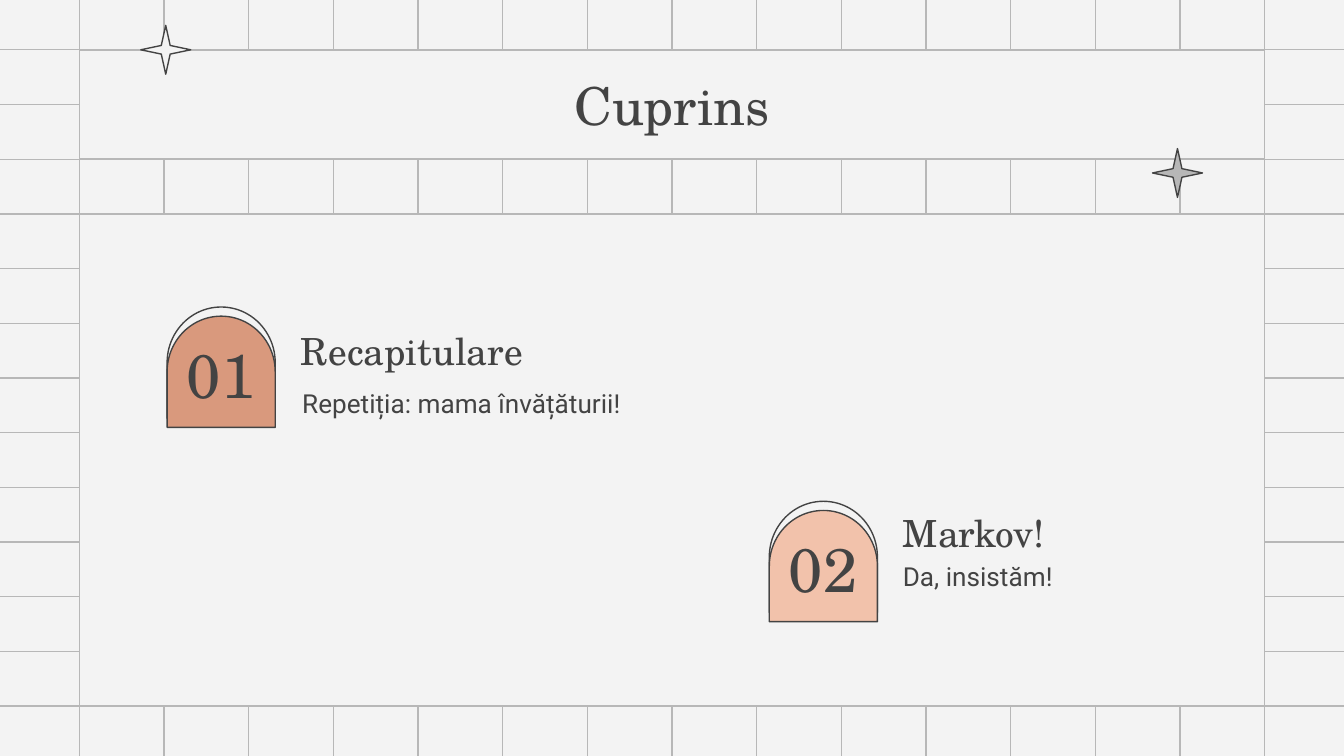
from pptx import Presentation
from pptx.util import Pt
from pptx.dml.color import RGBColor
from pptx.enum.shapes import MSO_SHAPE as Kind, MSO_CONNECTOR as Conn
from pptx.enum.text import MSO_ANCHOR as Anchor, PP_ALIGN as Align
from pptx.oxml.ns import qn
from lxml.etree import SubElement

# Content
WIDE, HIGH = 720, 405
PAPER, RULE, INK = "F3F3F3", "B7B7B7", "434343"
SERIF, SANS = "TeX Gyre Schola", "Roboto"

TITLE = "Cuprins"
# Frame of the back arch, drop to the front arch, front colour, number and its box
ARCHES = [
    ((88.7, 165.3), 4.9, "D9997D", "01", (85, 180.7, 67, 38.9)),
    ((411.3, 269.4), 4.9, "F2C2AB", "02", (407.5, 285.1, 67, 38.2)),
]
HEADS = [
    ("Recapitulare", (154.1, 173.5, 231.1, 28.8)),
    ("Markov!", (476.6, 270.7, 132.5, 28.8)),
]
NOTES = [
    ("Repetiția: mama învățăturii!", (154.8, 200.2, 189.4, 28.8)),
    ("Da, insistăm!", (476.6, 293, 198.7, 46.8)),
]
STARS = [((617.4, 79.6), RULE), ((75.4, 13.6), PAPER)]

# Grid: lines step out from the slide centre
MID_X, MID_Y = WIDE / 2, HIGH / 2
STEP_X, STEP_Y = 45.36, 29.3
COLS = [MID_X + STEP_X * i for i in range(-7, 8)]
ROWS = [MID_Y + STEP_Y * i for i in range(-6, 7)]
OVER = 2.5

# Text formats
BIG = {"size": Pt(28), "name": SERIF}
NUM = {"size": Pt(33), "name": SERIF}
HEAD = {"size": Pt(20), "name": SERIF}
NOTE = {"size": Pt(14), "name": SANS}


def paint(color, code):
    color.rgb = RGBColor.from_string(code)


def rule(x1, y1, x2, y2):
    line = shapes.add_connector(Conn.STRAIGHT, Pt(x1), Pt(y1), Pt(x2), Pt(y2))
    paint(line.line.color, RULE)
    line.line.width = Pt(0.75)
    SubElement(line._element.spPr, qn("a:effectLst"))


def draw(kind, box, fill, edge=INK):
    shape = shapes.add_shape(kind, *map(Pt, box))
    shape.shadow.inherit = False
    shape.fill.solid()
    paint(shape.fill.fore_color, fill)
    paint(shape.line.color, edge)
    shape.line.width = Pt(0.75)
    return shape


def write(shape, text, form, align=Align.LEFT, anchor=Anchor.MIDDLE, after=0):
    frame = shape.text_frame
    frame.word_wrap = True
    frame.vertical_anchor = anchor
    for side in ("left", "top", "right", "bottom"):
        setattr(frame, "margin_" + side, Pt(7.2))
    para = frame.paragraphs[0]
    para.alignment = align
    para.space_after = Pt(after)
    run = para.add_run()
    run.text = text
    for key, value in form.items():
        setattr(run.font, key, value)
    paint(run.font.color, INK)


def label(box, *args, **opts):
    write(shapes.add_textbox(*map(Pt, box)), *args, **opts)


deck = Presentation()
deck.slide_width, deck.slide_height = Pt(WIDE), Pt(HIGH)
slide = deck.slides.add_slide(deck.slide_layouts[6])
shapes = slide.shapes
slide.background.fill.solid()
paint(slide.background.fill.fore_color, PAPER)

# Background grid, each line in two halves
for x in COLS:
    rule(x, -OVER, x, MID_Y)
    rule(x, MID_Y, x, HIGH + OVER)
for y in ROWS:
    rule(-OVER, y, MID_X, y)
    rule(MID_X, y, WIDE + OVER, y)

# Main panel, on the grid
span = COLS[-1] - COLS[0]
draw(Kind.RECTANGLE, (COLS[0], ROWS[3], span, ROWS[-1] - ROWS[3]), PAPER, RULE)

# Arches, round end up
for (x, y), drop, color, *_ in ARCHES:
    for top, fill in ((y, PAPER), (y + drop, color)):
        arch = draw(Kind.FLOWCHART_DELAY, (x, top, 59.6, 57.9), fill)
        arch.rotation = 90
        arch._element.spPr.xfrm.set("flipH", "1")

# Title band
band = draw(Kind.RECTANGLE, (COLS[0], ROWS[0], span, 2 * STEP_Y), PAPER, RULE)
write(band, TITLE, BIG, Align.CENTER)

# Entries
for text, box in HEADS:
    label(box, text, HEAD, after=12)
for text, box in NOTES:
    label(box, text, NOTE, anchor=Anchor.TOP, after=12)
for *_, text, box in ARCHES:
    label(box, text, NUM, Align.CENTER)

# Stars
for spot, fill in STARS:
    star = draw(Kind.STAR_4_POINT, (*spot, 26.8, 26.2), fill)
    star.adjustments[0] = 0.125

deck.save("out.pptx")
